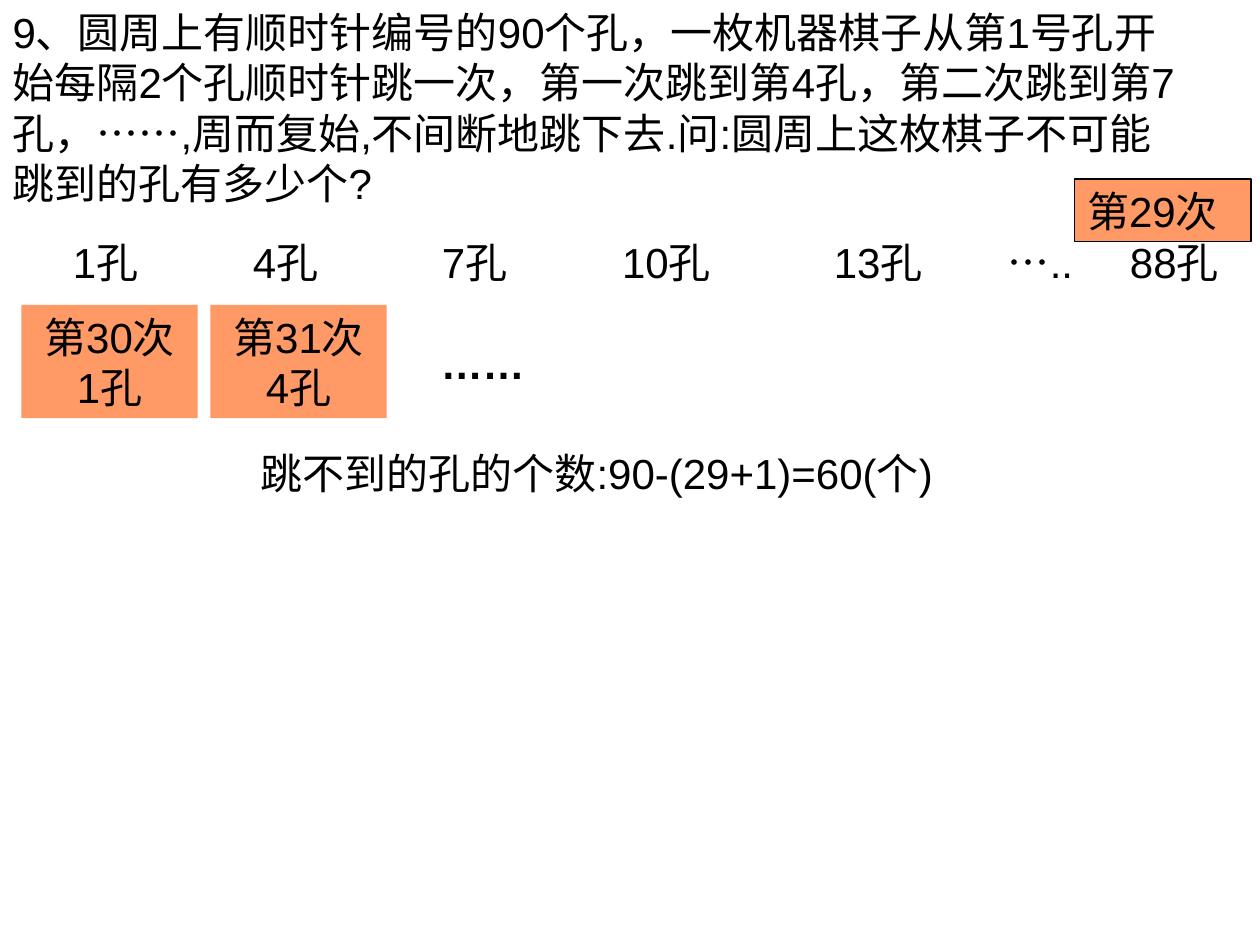
import pptx
import pptx.dml.color
import pptx.enum.shapes
import pptx.enum.text
import pptx.oxml
import pptx.oxml.ns
import pptx.util
from pptx.util import Inches

COLORS = {"text": "000000", "box": "FF9966", "answer": "FFFFFF", "outline": "000000"}
FONT = {"name": "Arial", "size": pptx.util.Pt(24)}
ALIGN = pptx.enum.text.PP_ALIGN

# Content
QUESTION = (
    "9、圆周上有顺时针编号的90个孔，一枚机器棋子从第1号孔开始每隔2个孔顺时针跳一次，"
    "第一次跳到第4孔，第二次跳到第7孔，……,周而复始,不间断地跳下去."
    "问:圆周上这枚棋子不可能跳到的孔有多少个?"
)
# Each hole with its distance from the start of the row
HOLES = [("1孔", 0), ("4孔", 1.43), ("7孔", 2.93), ("10孔", 4.36),
         ("13孔", 6.04), ("…..", 7.42), ("88孔", 8.39)]
LAST_JUMP = "第29次"
NEXT_LAP = [["第30次", "1孔"], ["第31次", "4孔"]]
ANSWER = "跳不到的孔的个数:90-(29+1)=60(个)"


def color(name):
    return pptx.dml.color.RGBColor.from_string(COLORS[name])


def write(shape, lines, align=ALIGN.LEFT, wrap=True, bold=False):
    frame = shape.text_frame
    frame.text = "\n".join(lines)
    frame_format = {
        "word_wrap": wrap,
        "auto_size": pptx.enum.text.MSO_AUTO_SIZE.NONE,
        "vertical_anchor": pptx.enum.text.MSO_ANCHOR.TOP,
    }
    for name, value in frame_format.items():
        setattr(frame, name, value)
    for paragraph in frame.paragraphs:
        paragraph.alignment = align
        for run in paragraph.runs:
            for name, value in {**FONT, "bold": bold}.items():
                setattr(run.font, name, value)
            run.font.color.rgb = color("text")


def add_text(slide, place, lines, **options):
    shape = slide.shapes.add_textbox(*map(Inches, place))
    write(shape, lines, **options)
    return shape


def add_box(slide, place, lines, fill="box", outline=None, **options):
    rectangle = pptx.enum.shapes.MSO_SHAPE.RECTANGLE
    shape = slide.shapes.add_shape(rectangle, *map(Inches, place))
    shape.shadow.inherit = False
    shape.fill.solid()
    shape.fill.fore_color.rgb = color(fill)
    if outline:
        shape.line.color.rgb = color(outline)
        shape.line.width = pptx.util.Pt(0.75)
    else:
        shape.line.fill.background()
    write(shape, lines, wrap=False, **options)


def set_tabs(paragraph, positions):
    properties = paragraph._p.get_or_add_pPr()
    tabs = pptx.oxml.parse_xml("<a:tabLst %s/>" % pptx.oxml.ns.nsdecls("a"))
    for position in positions:
        tab = tabs.makeelement(pptx.oxml.ns.qn("a:tab"),
                               {"pos": str(Inches(position)), "algn": "l"})
        tabs.append(tab)
    properties.append(tabs)


def main():
    presentation = pptx.Presentation()
    presentation.slide_width, presentation.slide_height = Inches(10), Inches(7.5)
    slide = presentation.slides.add_slide(presentation.slide_layouts[5])

    # Question
    title = slide.shapes.title
    title.left, title.top, title.width, title.height = map(Inches, (0, 0, 9.52, 1.7))
    write(title, [QUESTION])

    # Holes of the first lap, spaced by tab stops
    row = add_text(slide, (0.48, 1.83, 9.47, 0.5), ["\t".join(hole for hole, _ in HOLES)])
    set_tabs(row.text_frame.paragraphs[0], [offset for _, offset in HOLES[1:]])
    add_box(slide, (8.53, 1.42, 1.4, 0.5), [LAST_JUMP], outline="outline")

    # Second lap
    for index, lines in enumerate(NEXT_LAP):
        add_box(slide, (0.17 + 1.5 * index, 2.42, 1.4, 0.9), lines, align=ALIGN.CENTER)
    add_text(slide, (3.4, 2.63, 0.86, 0.5), ["……"], wrap=False, bold=True)

    # Answer
    add_box(slide, (1.97, 3.5, 5.77, 0.5), [ANSWER], fill="answer")

    presentation.save("out.pptx")


if __name__ == "__main__":
    main()
